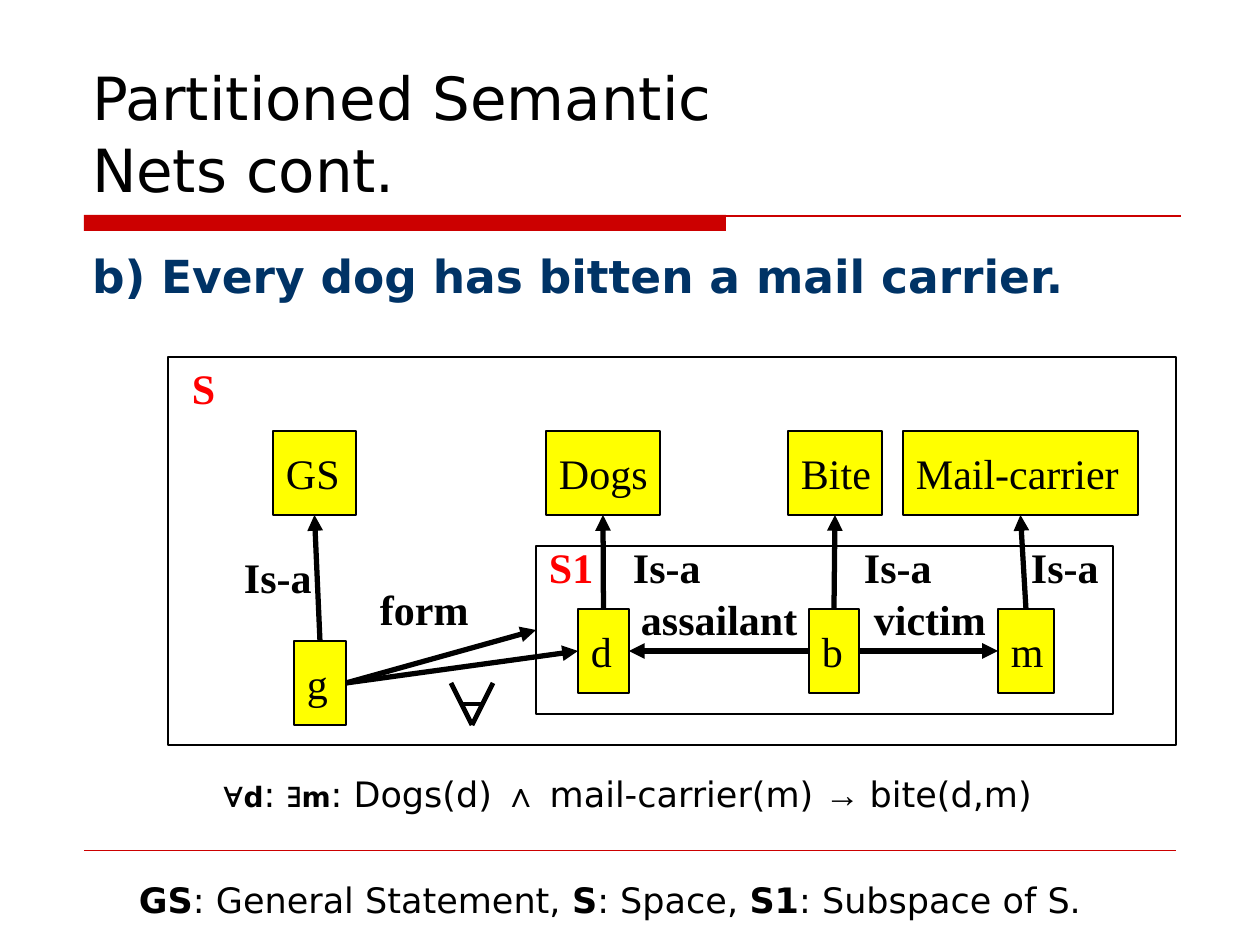
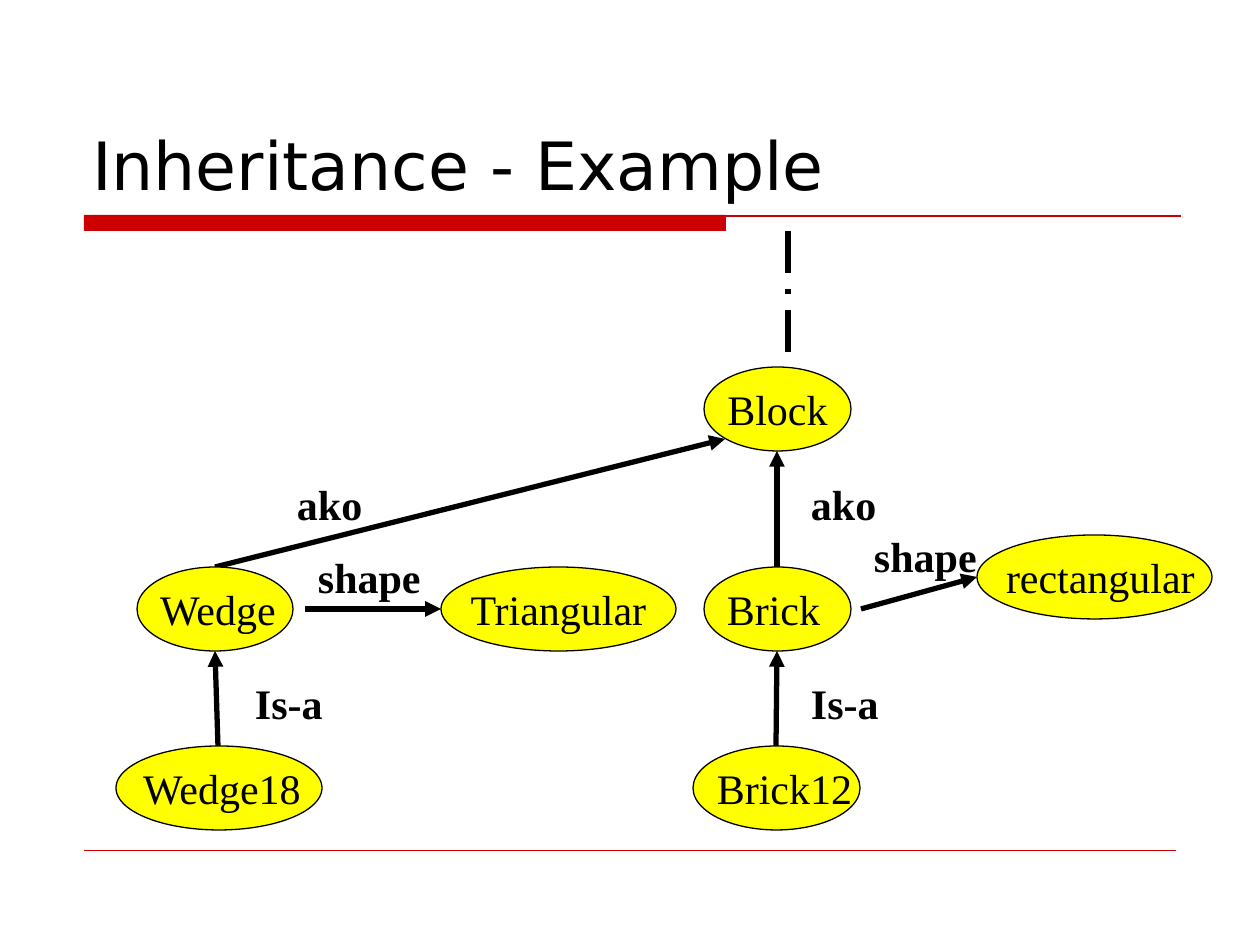
from lxml import etree
from pptx import Presentation
from pptx.dml.color import RGBColor
from pptx.enum.dml import MSO_LINE
from pptx.enum.shapes import MSO_CONNECTOR, MSO_SHAPE
from pptx.enum.text import MSO_ANCHOR, PP_ALIGN
from pptx.oxml.ns import qn
from pptx.util import Emu, Pt

RECTANGLE, OVAL = MSO_SHAPE.RECTANGLE, MSO_SHAPE.OVAL
STRAIGHT = MSO_CONNECTOR.STRAIGHT
DASH_DOT = MSO_LINE.LONG_DASH_DOT
TOP, MIDDLE, BOTTOM = MSO_ANCHOR.TOP, MSO_ANCHOR.MIDDLE, MSO_ANCHOR.BOTTOM
LEFT, CENTER = PP_ALIGN.LEFT, PP_ALIGN.CENTER
SIDE_TOP, SIDE_LEFT, SIDE_BOTTOM, SIDE_RIGHT = range(4)

PX_PER_INCH = 126
BLACK, RED, ACCENT, NAVY, YELLOW = "000000", "FF0000", "CC0000", "003366", "FFFF00"
SANS, SERIF, SYMBOL = "DejaVu Sans", "Times New Roman", "Arial"
NODE_HEIGHT = 84


def px(length):
    """Turn a length in px into EMU."""
    return Emu(round(length * 914400 / PX_PER_INCH))


def color(value):
    """Turn a hex string into a colour."""
    return RGBColor.from_string(value)


def style(span, font, size, ink=BLACK, bold=False):
    """Format one run."""
    span.font.name = font
    span.font.size = Pt(size)
    span.font.bold = bold
    span.font.color.rgb = color(ink)


def set_frame(frame, anchor, left=13, top=6, right=13, bottom=6, wrap=False):
    """Set the anchor, insets and wrapping of a text frame."""
    frame.word_wrap = wrap
    frame.vertical_anchor = anchor
    frame.margin_left, frame.margin_top = px(left), px(top)
    frame.margin_right, frame.margin_bottom = px(right), px(bottom)


def add_text(page, left, top, width, height, text, font, size, ink=BLACK,
             bold=False, anchor=TOP):
    """Add a text box with one style."""
    box = page.shapes.add_textbox(px(left), px(top), px(width), px(height))
    set_frame(box.text_frame, anchor, wrap=True)
    box.text_frame.text = text
    for span in box.text_frame.paragraphs[0].runs:
        style(span, font, size, ink, bold)


def add_rich_text(page, left, top, width, spans):
    """Add a line of text from (text, font, size, bold) spans."""
    box = page.shapes.add_textbox(px(left), px(top), px(width), px(55))
    set_frame(box.text_frame, TOP, wrap=True)
    para = box.text_frame.paragraphs[0]
    for text, font, size, bold in spans:
        span = para.add_run()
        span.text = text
        style(span, font, size, bold=bold)


def add_label(page, left, top, text, ink=BLACK):
    """Add a bold diagram label."""
    add_text(page, left, top, 200, 63, text, SERIF, 24, ink, True)


def add_outline(page, kind, left, top, width, height, fill=None):
    """Add a thin black outlined shape, filled if a fill is given."""
    shape = page.shapes.add_shape(kind, px(left), px(top), px(width), px(height))
    shape.shadow.inherit = False
    if fill:
        shape.fill.solid()
        shape.fill.fore_color.rgb = color(fill)
    else:
        shape.fill.background()
    shape.line.color.rgb = color(BLACK)
    shape.line.width = Pt(0.75)
    return shape


def add_node(page, kind, left, top, width, text, nudge=0):
    """Add a yellow node: text at the left of a box, or centred in an oval."""
    node = add_outline(page, kind, left, top, width, NODE_HEIGHT, YELLOW)
    if kind == OVAL:
        set_frame(node.text_frame, MIDDLE, max(0, 2 * nudge), 0, max(0, -2 * nudge), 0)
    else:
        set_frame(node.text_frame, MIDDLE, right=0)
    node.text_frame.text = text
    para = node.text_frame.paragraphs[0]
    para.alignment = CENTER if kind == OVAL else LEFT
    style(para.runs[0], SERIF, 24)
    return node


def add_line(page, start, end, ink=BLACK, width=3, arrow=False):
    """Add a straight line, with an arrowhead at its end if asked."""
    line = page.shapes.add_connector(STRAIGHT, *map(px, start + end))
    line.line.color.rgb = color(ink)
    line.line.width = Pt(width)
    if arrow:
        etree.SubElement(line.line._get_or_add_ln(), qn("a:tailEnd"), type="triangle")
    etree.SubElement(line._element.spPr, qn("a:effectLst"))
    return line


def join(page, source, source_side, target, target_side):
    """Add an arrow glued to the sides of two rectangles."""
    arrow = add_line(page, (0, 0), (0, 0), arrow=True)
    arrow.begin_connect(source, source_side)
    arrow.end_connect(target, target_side)


def add_page(deck, title, size, title_width):
    """Add a page with the title, the red band and the footer rule."""
    page = deck.slides.add_slide(deck.slide_layouts[6])
    band = page.shapes.add_shape(RECTANGLE, px(84), px(215), px(642), px(16))
    band.shadow.inherit = False
    band.fill.solid()
    band.fill.fore_color.rgb = color(ACCENT)
    band.line.fill.background()
    add_line(page, (84, 216), (1181, 216), ACCENT, 0.75)
    add_line(page, (84, 850), (1176, 850), ACCENT, 0.25)
    add_text(page, 79, 42, title_width, 168, title, SANS, size, anchor=BOTTOM)
    return page


def add_partition_page(deck):
    """Build the partitioned net with its space and subspace."""
    page = add_page(deck, "Partitioned Semantic\vNets cont.", 34, 824)
    add_text(page, 79, 242, 1102, 65, "b) Every dog has bitten a mail carrier.",
             SANS, 26, NAVY, True)
    add_outline(page, RECTANGLE, 168, 357, 1008, 388)
    subspace = add_outline(page, RECTANGLE, 536, 546, 577, 168)

    classes = [(273, 83, "GS"), (546, 114, "Dogs"), (788, 94, "Bite"),
               (903, 235, "Mail-carrier")]
    instances = [(294, 641, 52, "g"), (578, 609, 51, "d"), (809, 609, 50, "b"),
                 (998, 609, 56, "m")]
    class_nodes = [add_node(page, RECTANGLE, left, 431, width, text)
                   for left, width, text in classes]
    instance_nodes = [add_node(page, RECTANGLE, *instance) for instance in instances]
    for instance, parent in zip(instance_nodes, class_nodes):
        join(page, instance, SIDE_TOP, parent, SIDE_BOTTOM)
    statement, dog, bite, carrier = instance_nodes
    join(page, bite, SIDE_RIGHT, carrier, SIDE_LEFT)
    join(page, bite, SIDE_LEFT, dog, SIDE_RIGHT)
    join(page, statement, SIDE_RIGHT, dog, SIDE_LEFT)
    join(page, statement, SIDE_RIGHT, subspace, SIDE_LEFT)

    for left, top in [(231, 546), (620, 536), (851, 536), (1018, 536)]:
        add_label(page, left, top, "Is-a")
    add_label(page, 367, 578, "form")
    add_label(page, 628, 588, "assailant")
    add_label(page, 861, 588, "victim")
    add_label(page, 179, 357, "S", RED)
    add_label(page, 536, 536, "S1", RED)
    for start, end in [((451, 683), (472, 725)), ((493, 683), (472, 725)),
                       ((462, 704), (483, 704))]:
        add_line(page, start, end, width=2.75)

    add_rich_text(page, 210, 766, 892, [
        ("∀", SYMBOL, 20, False), ("d", SANS, 16, True), (": ", SANS, 20, False),
        ("∃", SYMBOL, 20, False), ("m", SANS, 16, True),
        (": Dogs(d) ", SANS, 20, False), ("∧", SYMBOL, 20, True),
        (" mail-carrier(m) ", SANS, 20, False), ("→ ", SYMBOL, 20, False),
        ("bite(d,m)", SANS, 20, False)])
    add_rich_text(page, 126, 872, 1018, [
        ("GS", SANS, 20, True), (": General Statement, ", SANS, 20, False),
        ("S", SANS, 20, True), (": Space, ", SANS, 20, False),
        ("S1", SANS, 20, True), (": Subspace of S.", SANS, 20, False)])


def add_inheritance_page(deck):
    """Build the inheritance net of blocks."""
    page = add_page(deck, "Inheritance - Example", 38, 1102)
    for start, end in [((776, 746), (777, 651)), ((861, 609), (977, 577)),
                       ((777, 567), (777, 451)), ((218, 746), (215, 651)),
                       ((215, 567), (725, 439)), ((305, 609), (441, 609))]:
        add_line(page, start, end, arrow=True)
    for left, top, width, text, nudge in [
            (704, 367, 147, "Block", 0), (704, 567, 147, "Brick", -4),
            (693, 746, 167, "Brick12", 8), (977, 535, 235, "rectangular", 6),
            (137, 567, 156, "Wedge", 3), (116, 746, 206, "Wedge18", 3),
            (441, 567, 235, "Triangular", 0)]:
        add_node(page, OVAL, left, top, width, text, nudge)
    for left, top, text in [(798, 672, "Is-a"), (861, 525, "shape"), (798, 473, "ako"),
                            (242, 672, "Is-a"), (284, 473, "ako"), (305, 546, "shape")]:
        add_label(page, left, top, text)
    add_line(page, (788, 231), (788, 367)).line.dash_style = DASH_DOT


def main():
    """Build and save the deck."""
    deck = Presentation()
    deck.slide_width, deck.slide_height = px(1260), px(945)
    add_partition_page(deck)
    add_inheritance_page(deck)
    deck.save("out.pptx")


if __name__ == "__main__":
    main()
